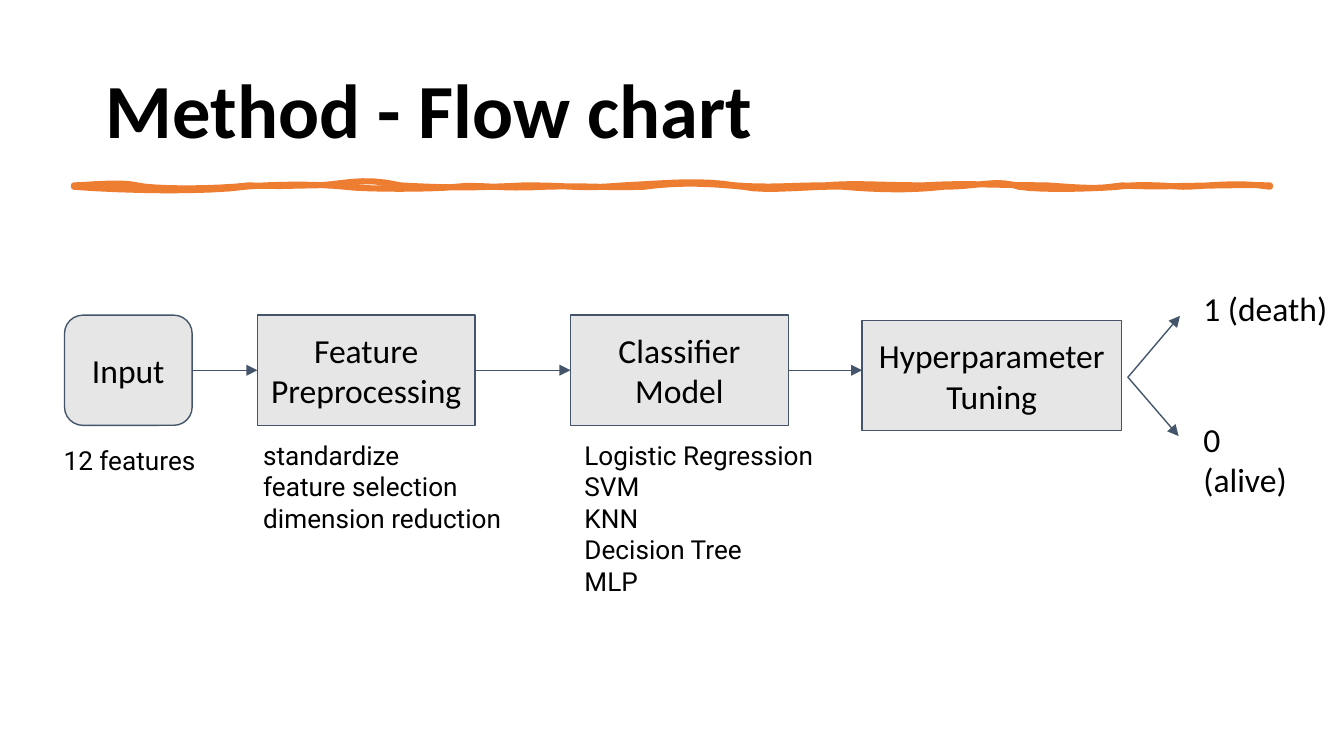
import pptx
import pptx.util
import pptx.dml.color
import pptx.enum.shapes
import pptx.enum.text
import pptx.oxml
import pptx.oxml.ns

SCALE = 4572
INK = "000000"
SLATE = "44546A"
GREY = "E7E6E6"
ORANGE = "ED7D31"
SHAPES = pptx.enum.shapes.MSO_SHAPE
ANCHOR = pptx.enum.text.MSO_ANCHOR
ALIGN = pptx.enum.text.PP_ALIGN
LEFT_SIDE, RIGHT_SIDE = 1, 3

UPPER_WAVE = [
    (128, 276, 178, 270, 204, 276), (228, 282, 320, 282, 370, 276),
    (426, 278, 432, 276, 466, 276), (508, 276, 536, 262, 596, 276),
    (662, 280, 704, 280, 780, 276), (862, 276, 856, 282, 928, 276),
    (1006, 272, 1040, 268, 1094, 276), (1146, 280, 1176, 276, 1226, 276),
    (1282, 272, 1302, 276, 1374, 276), (1442, 272, 1482, 276, 1558, 276),
    (1634, 282, 1638, 280, 1670, 276), (1710, 280, 1826, 274, 1890, 276),
]
LOWER_WAVE = [
    (1890, 276, 1890, 278, 1890, 278), (1840, 270, 1790, 278, 1760, 278),
    (1726, 276, 1690, 274, 1664, 278), (1644, 280, 1554, 284, 1516, 278),
    (1486, 266, 1454, 278, 1404, 278), (1352, 284, 1300, 282, 1256, 278),
    (1214, 276, 1140, 286, 1106, 278), (1064, 274, 1016, 270, 958, 278),
    (900, 280, 870, 276, 810, 278), (748, 282, 712, 274, 680, 278),
    (646, 282, 542, 282, 514, 278), (476, 274, 412, 274, 364, 278),
    (312, 286, 182, 284, 110, 278),
]


def px(length):
    return pptx.util.Emu(length * SCALE)


def color(value):
    return pptx.dml.color.RGBColor.from_string(value)


def set_line(shape, value, points):
    shape.line.color.rgb = color(value)
    shape.line.width = pptx.util.Pt(points)


def write(shape, lines, size, font, bold=False, align=ALIGN.LEFT,
          anchor=ANCHOR.TOP, inset=20, spacing=None):
    frame = shape.text_frame
    frame.word_wrap = True
    frame.vertical_anchor = anchor
    frame.margin_left = frame.margin_right = px(20)
    frame.margin_top = frame.margin_bottom = px(inset)
    for index, line in enumerate(lines):
        para = frame.add_paragraph() if index else frame.paragraphs[0]
        para.alignment = align
        para.line_spacing = spacing
        span = para.add_run()
        span.text = line
        span.font.size = pptx.util.Pt(size)
        span.font.name = font
        span.font.bold = bold
        span.font.color.rgb = color(INK)


def add_text(page, left, top, width, height, lines, size, font, **style):
    box = page.shapes.add_textbox(px(left), px(top), px(width), px(height))
    write(box, lines, size, font, **style)


def add_step(page, left, top, width, text, kind=SHAPES.RECTANGLE):
    box = page.shapes.add_shape(kind, px(left), px(top), px(width), px(164))
    box.shadow.inherit = False
    box.fill.solid()
    box.fill.fore_color.rgb = color(GREY)
    set_line(box, SLATE, 0.75)
    write(box, [text], 18, "Calibri", align=ALIGN.CENTER, anchor=ANCHOR.MIDDLE)
    return box


def add_arrow(page, start, end, source=None, target=None):
    arrow = page.shapes.add_connector(
        pptx.enum.shapes.MSO_CONNECTOR.STRAIGHT,
        px(start[0]), px(start[1]), px(end[0]), px(end[1]))
    if source is not None:
        arrow.begin_connect(source, RIGHT_SIDE)
    if target is not None:
        arrow.end_connect(target, LEFT_SIDE)
    set_line(arrow, SLATE, 0.75)
    head = pptx.oxml.parse_xml(
        '<a:tailEnd %s type="triangle"/>' % pptx.oxml.ns.nsdecls("a"))
    arrow.line._get_or_add_ln().append(head)
    effects = pptx.oxml.parse_xml(
        "<a:effectLst %s/>" % pptx.oxml.ns.nsdecls("a"))
    arrow._element.spPr.append(effects)


def curve_points(start, curves, steps=8):
    points = []
    x0, y0 = start
    for x1, y1, x2, y2, x3, y3 in curves:
        for step in range(1, steps + 1):
            t = step / steps
            weights = ((1 - t) ** 3, 3 * t * (1 - t) ** 2,
                       3 * t ** 2 * (1 - t), t ** 3)
            x = sum(w * v for w, v in zip(weights, (x0, x1, x2, x3)))
            y = sum(w * v for w, v in zip(weights, (y0, y1, y2, y3)))
            points.append((round(x * SCALE), round(y * SCALE)))
        x0, y0 = x3, y3
    return points


def add_brush_rule(page):
    start = (110, 276)
    builder = page.shapes.build_freeform(px(start[0]), px(start[1]))
    builder.add_line_segments(
        curve_points(start, UPPER_WAVE + LOWER_WAVE), close=True)
    rule = builder.convert_to_shape()
    rule.shadow.inherit = False
    rule.fill.solid()
    rule.fill.fore_color.rgb = color(ORANGE)
    set_line(rule, ORANGE, 3.25)
    for outline in rule._element.iter(pptx.oxml.ns.qn("a:path")):
        outline.set("fill", "none")


def main():
    deck = pptx.Presentation()
    deck.slide_width, deck.slide_height = px(2000), px(1125)
    page = deck.slides.add_slide(deck.slide_layouts[6])

    add_text(page, 138, 60, 1724, 218, ["Method - Flow chart"], 41, "Calibri",
             bold=True, anchor=ANCHOR.MIDDLE, inset=10, spacing=0.9)
    add_brush_rule(page)

    source = add_step(page, 96, 469, 190, "Input",
                      SHAPES.FLOWCHART_ALTERNATE_PROCESS)
    features = add_step(page, 383, 469, 324, "Feature Preprocessing")
    classifier = add_step(page, 849, 469, 324, "Classifier Model")
    add_step(page, 1283, 477, 386, "Hyperparameter Tuning")

    add_arrow(page, (286, 551), (383, 551), source, features)
    add_arrow(page, (707, 551), (849, 551), features, classifier)
    add_arrow(page, (1173, 551), (1283, 551), classifier)
    add_arrow(page, (1678, 562), (1756, 470))
    add_arrow(page, (1679, 562), (1754, 649))

    add_text(page, 1771, 408, 229, 88, ["1 (death)"], 18, "Calibri")
    add_text(page, 1771, 603, 190, 88, ["0 (alive)"], 18, "Calibri")

    notes = [
        (75, 641, 340, 88, ["12 features"]),
        (372, 634, 518, 242,
         ["standardize", "feature selection", "dimension reduction"]),
        (850, 634, 396, 336,
         ["Logistic Regression", "SVM", "KNN", "Decision Tree", "MLP"]),
    ]
    for left, top, width, height, lines in notes:
        add_text(page, left, top, width, height, lines, 14, "Roboto")

    deck.save("out.pptx")


if __name__ == "__main__":
    main()
